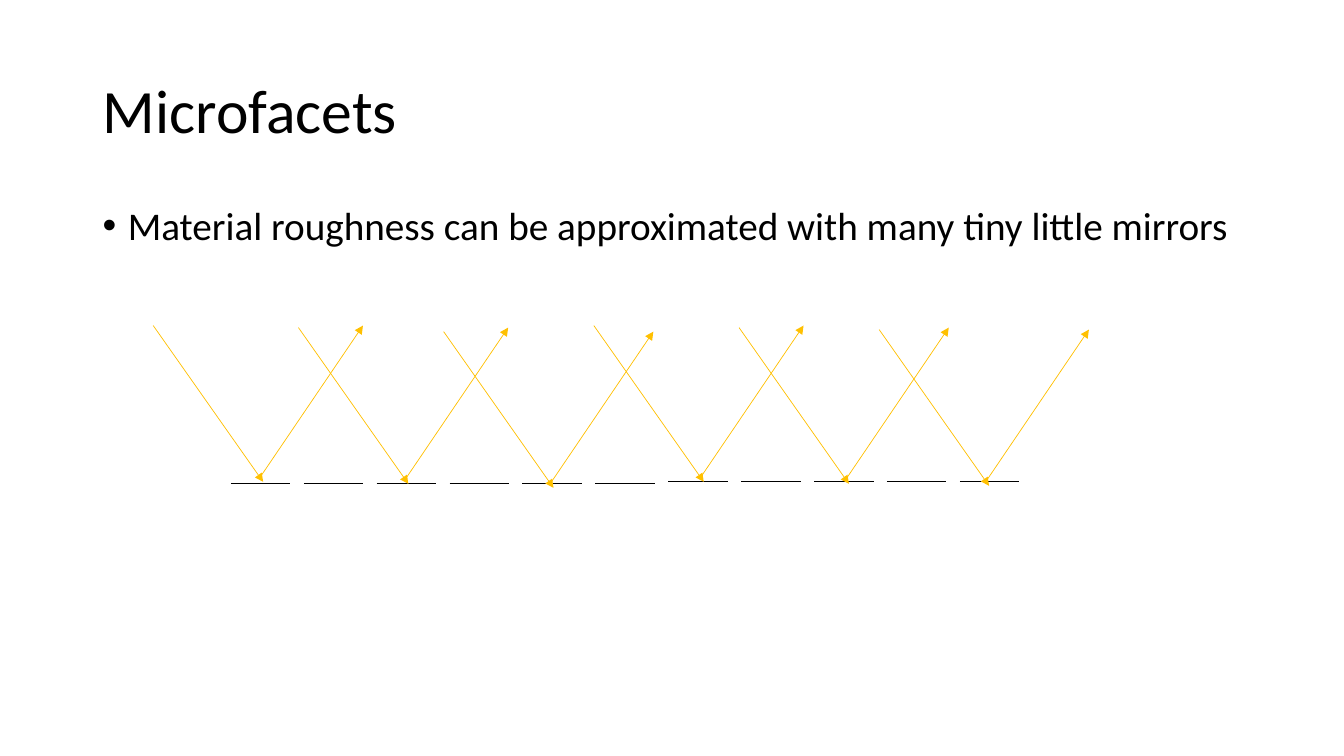
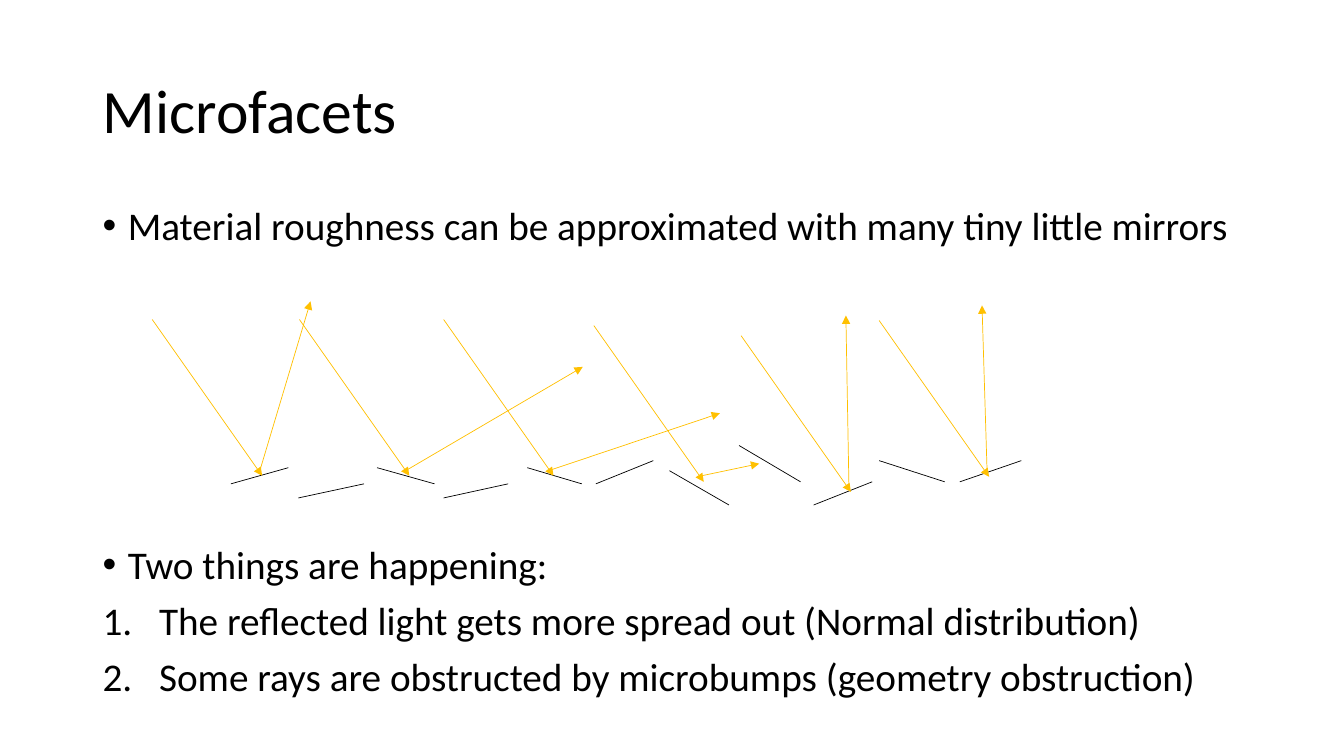
"""Builds two slides on how microfacets reflect light."""
import lxml.etree
import pptx
import pptx.dml.color
import pptx.enum.text
import pptx.oxml.ns
import pptx.util

Inches = pptx.util.Inches
Pt = pptx.util.Pt
qn = pptx.oxml.ns.qn

BLACK = pptx.dml.color.RGBColor(0x00, 0x00, 0x00)
AMBER = pptx.dml.color.RGBColor(0xFF, 0xC0, 0x00)

TITLE = "Microfacets"
STATEMENT = "Material roughness can be approximated with many tiny little mirrors"
FINDINGS = [
    ("Two things are happening:", False),
    ("The reflected light gets more spread out (Normal distribution)", True),
    ("Some rays are obstructed by microbumps (geometry obstruction)", True),
]

MIRROR_COUNT = 11
MIRROR_LEFT, MIRROR_LAST, MIRROR_WIDTH = 2.29, 9.52, 0.59
FLAT_RAYS = [(1.52, 3.23), (2.96, 3.25), (4.4, 3.29),
             (5.89, 3.23), (7.33, 3.25), (8.72, 3.27)]

TILTED_MIRRORS = [
    ((2.29, 4.8), (2.86, 4.64)),
    ((2.96, 4.94), (3.61, 4.8)),
    ((3.74, 4.64), (4.31, 4.8)),
    ((4.4, 4.94), (5.04, 4.8)),
    ((5.23, 4.64), (5.77, 4.8)),
    ((5.91, 4.8), (6.48, 4.57)),
    ((6.64, 4.67), (7.23, 5.01)),
    ((7.33, 4.42), (7.94, 4.78)),
    ((8.07, 5.01), (8.65, 4.78)),
    ((8.72, 4.57), (9.37, 4.78)),
    ((9.52, 4.78), (10.13, 4.57)),
]
SCATTERED_RAYS = [
    ((1.51, 3.17), (3.08, 2.99)),
    ((2.97, 3.17), (5.78, 3.64)),
    ((4.4, 3.17), (7.14, 4.1)),
    ((5.89, 3.23), (7.53, 4.6)),
    ((7.35, 3.33), (8.39, 3.13)),
    ((8.72, 3.18), (9.74, 3.03)),
]


class Deck:
    """Holds the shared style and the current slide."""

    FONT = "Calibri"
    LEFT, WIDTH = 0.92, 11.5
    LINE_WIDTH = 0.5

    def __init__(self):
        self.prs = pptx.Presentation()
        self.prs.slide_width = Inches(13.33)
        self.prs.slide_height = Inches(7.5)
        self.s = None

    def style(self, p, size):
        """Sets the font and line spacing of a paragraph."""
        p.alignment = pptx.enum.text.PP_ALIGN.LEFT
        p.line_spacing = 0.9
        for r in p.runs:
            r.font.name = self.FONT
            r.font.size = Pt(size)
            r.font.color.rgb = BLACK

    def add_slide(self, title):
        """Starts a slide with its title."""
        self.s = self.prs.slides.add_slide(self.prs.slide_layouts[5])
        sp = self.s.shapes.title
        sp.left, sp.top = Inches(self.LEFT), Inches(0.4)
        sp.width, sp.height = Inches(self.WIDTH), Inches(1.45)
        tf = sp.text_frame
        tf.vertical_anchor = pptx.enum.text.MSO_ANCHOR.MIDDLE
        tf.text = title
        self.style(tf.paragraphs[0], 44)

    def add_list(self, top, height, items):
        """Adds bulleted or numbered lines, given as (text, numbered)."""
        sp = self.s.shapes.add_textbox(
            Inches(self.LEFT), Inches(top), Inches(self.WIDTH), Inches(height))
        tf = sp.text_frame
        tf.word_wrap = True
        for i, (text, numbered) in enumerate(items):
            p = tf.add_paragraph() if i else tf.paragraphs[0]
            p.text = text
            self.style(p, 28)
            p.space_before = Pt(10)
            self.mark(p, numbered)

    def mark(self, p, numbered):
        """Gives a paragraph its hanging bullet or number."""
        pPr = p._p.get_or_add_pPr()
        indent = Inches(0.56 if numbered else 0.25)
        pPr.set("marL", str(indent))
        pPr.set("indent", str(-indent))
        if numbered:
            lxml.etree.SubElement(pPr, qn("a:buFont"), typeface="+mj-lt")
            lxml.etree.SubElement(pPr, qn("a:buAutoNum"), type="arabicPeriod")
        else:
            lxml.etree.SubElement(pPr, qn("a:buFont"), typeface="Arial")
            lxml.etree.SubElement(pPr, qn("a:buChar"), char="•")

    def add_line(self, start, end, color=BLACK, arrow=False):
        """Draws a thin line, with an arrowhead at its end if asked."""
        points = [Inches(v) for v in (*start, *end)]
        line = self.s.shapes.add_connector(
            pptx.enum.shapes.MSO_CONNECTOR.STRAIGHT, *points)
        line.line.color.rgb = color
        line.line.width = Pt(self.LINE_WIDTH)
        if arrow:
            ln = line.line._get_or_add_ln()
            lxml.etree.SubElement(ln, qn("a:tailEnd"), type="triangle")
        lxml.etree.SubElement(line._element.spPr, qn("a:effectLst"))

    def add_ray(self, start, end):
        """Draws a ray that falls at the shared angle and is reflected to end."""
        x, y = start
        self.add_line(start, (x + 1.09, y + 1.55), AMBER, True)
        self.add_line((x + 1.07, y + 1.49), end, AMBER, True)


def add_flat_slide(deck):
    """Shows parallel reflections from level mirrors."""
    deck.add_slide(TITLE)
    deck.add_list(2, 4.76, [(STATEMENT, False)])
    pitch = (MIRROR_LAST - MIRROR_LEFT) / (MIRROR_COUNT - 1)
    for i in range(MIRROR_COUNT):
        x = MIRROR_LEFT + i * pitch
        y = 4.8 if i < 6 else 4.78
        deck.add_line((x, y), (x + MIRROR_WIDTH, y))
    for x, y in FLAT_RAYS:
        deck.add_ray((x, y), (x + 2.08, y))


def add_rough_slide(deck):
    """Shows scattered reflections from tilted mirrors."""
    deck.add_slide(TITLE)
    deck.add_list(2, 4.76, [(STATEMENT, False)])
    for start, end in TILTED_MIRRORS:
        deck.add_line(start, end)
    for start, end in SCATTERED_RAYS:
        deck.add_ray(start, end)
    deck.add_list(5.36, 1.72, FINDINGS)


def main():
    """Builds and saves the deck."""
    deck = Deck()
    add_flat_slide(deck)
    add_rough_slide(deck)
    deck.prs.save("out.pptx")


if __name__ == "__main__":
    main()
